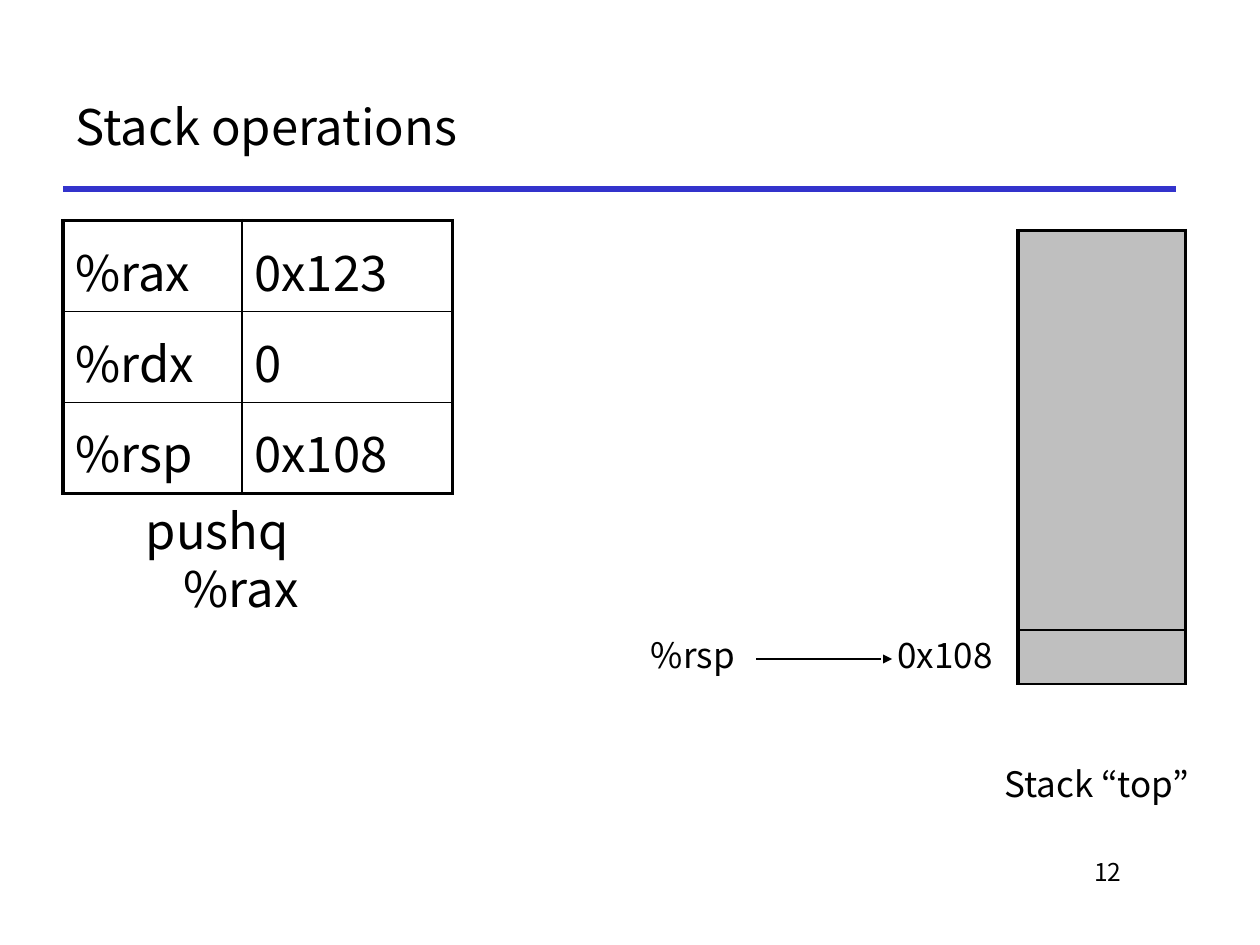
from lxml.etree import SubElement
from pptx import Presentation
from pptx.dml.color import RGBColor
from pptx.enum.shapes import MSO_CONNECTOR, MSO_SHAPE
from pptx.enum.text import MSO_ANCHOR, PP_ALIGN
from pptx.oxml.ns import qn
from pptx.util import Pt

PX = 9144  # EMU per px, 100 px to the inch
FONT = "Noto Sans CJK KR"
COLORS = {name: RGBColor.from_string(value) for name, value in {
    "text": "000000", "rule": "3333CC", "stack": "808080", "white": "FFFFFF",
}.items()}


def write(frame, text, size, align=PP_ALIGN.LEFT):
    frame.word_wrap = True
    para = frame.paragraphs[0]
    para.text = text
    para.alignment = align
    para.font.size = Pt(size)
    para.font.name = FONT
    para.font.color.rgb = COLORS["text"]
    return para


def border_table(table):
    """Draw a thick outer frame and thin inner rules; the last edge may be thin."""
    last_row, last_column = len(table.rows) - 1, len(table.columns) - 1
    for row in range(last_row + 1):
        for column in range(last_column + 1):
            properties = table.cell(row, column)._tc.get_or_add_tcPr()
            outer = {"lnL": column == 0, "lnR": column == last_column,
                     "lnT": row == 0, "lnB": row == last_row and last_column > 0}
            for index, (side, thick) in enumerate(outer.items()):
                line = SubElement(properties, qn(f"a:{side}"), w=str(Pt(2.25 if thick else 1)))
                fill = SubElement(line, qn("a:solidFill"))
                SubElement(fill, qn("a:srgbClr"), val=str(COLORS["text"]))
                properties.insert(index, line)


deck = Presentation()
deck.slide_width, deck.slide_height = 1000 * PX, 750 * PX
page = deck.slides.add_slide(deck.slide_layouts[5])

# Title and rule
title = page.shapes.title
title.left, title.top, title.width, title.height = 50 * PX, 50 * PX, 883 * PX, 100 * PX
title.text_frame.vertical_anchor = MSO_ANCHOR.MIDDLE
write(title.text_frame, "Stack operations", 28)

# Title rule and stack pointer arrow
for left, right, y, color, width in [(50, 933, 150, "rule", 3), (600, 708, 523, "text", 0.75)]:
    line = page.shapes.add_connector(
        MSO_CONNECTOR.STRAIGHT, left * PX, y * PX, right * PX, y * PX)
    line.line.color.rgb = COLORS[color]
    line.line.width = Pt(width)
    SubElement(line._element.spPr, qn("a:effectLst"))
SubElement(line.line._get_or_add_ln(), qn("a:tailEnd"), type="triangle")

# Registers
registers = [("%rax", "0x123"), ("%rdx", "0"), ("%rsp", "0x108")]
table = page.shapes.add_table(3, 2, 50 * PX, 175 * PX, 309 * PX, 198 * PX).table
table.first_row = table.horz_banding = False
table.columns[0].width, table.columns[1].width = 142 * PX, 167 * PX
for row, register in enumerate(registers):
    for column, text in enumerate(register):
        cell = table.cell(row, column)
        cell.margin_top = 11 * PX
        cell.fill.background()
        write(cell.text_frame, text, 28)
border_table(table)

# Stack
stack = page.shapes.add_table(2, 1, 808 * PX, 183 * PX, 133 * PX, 360 * PX).table
stack.first_row = stack.horz_banding = False
for row, height in enumerate([317, 43]):
    stack.rows[row].height = height * PX
    cell = stack.cell(row, 0)
    cell.fill.solid()
    cell.fill.fore_color.rgb = COLORS["stack"]
    color = cell._tc.tcPr.find(".//" + qn("a:srgbClr"))
    SubElement(color, qn("a:alpha"), val="50000")
border_table(stack)

# Instruction and page number
instruction = page.shapes.add_textbox(59 * PX, 392 * PX, 227 * PX, 57 * PX)
para = write(instruction.text_frame, "pushq %rax", 28, PP_ALIGN.CENTER)
indent = 38 * PX
para._p.pPr.set("marL", str(indent))
para._p.pPr.set("indent", str(-indent))
number = page.shapes.add_textbox(758 * PX, 675 * PX, 142 * PX, 50 * PX)
write(number.text_frame, "12", 14, PP_ALIGN.RIGHT)

# Stack labels
pointer = page.shapes.add_textbox(500 * PX, 498 * PX, 100 * PX, 44 * PX)
write(pointer.text_frame, "%rsp", 20, PP_ALIGN.CENTER)
for text, left, top, width in [("Stack “top”", 783, 600, 175), ("0x108", 700, 498, 100)]:
    box = page.shapes.add_shape(
        MSO_SHAPE.RECTANGLE, left * PX, top * PX, width * PX, 44 * PX)
    box.shadow.inherit = False
    box.fill.background()
    box.line.color.rgb = COLORS["white"]
    box.line.width = Pt(0.75)
    box.text_frame.vertical_anchor = MSO_ANCHOR.TOP
    write(box.text_frame, text, 20, PP_ALIGN.CENTER)

deck.save("out.pptx")
